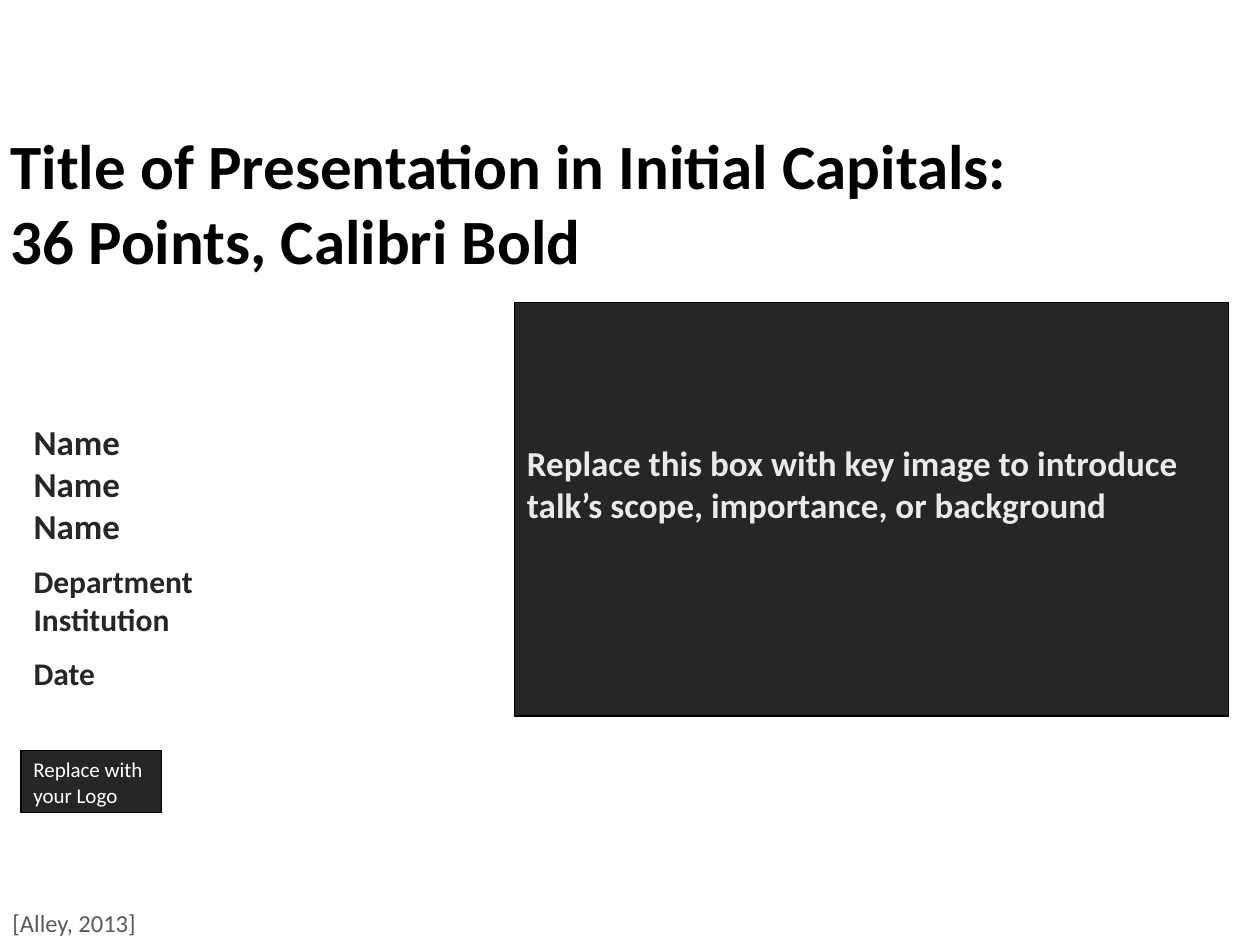
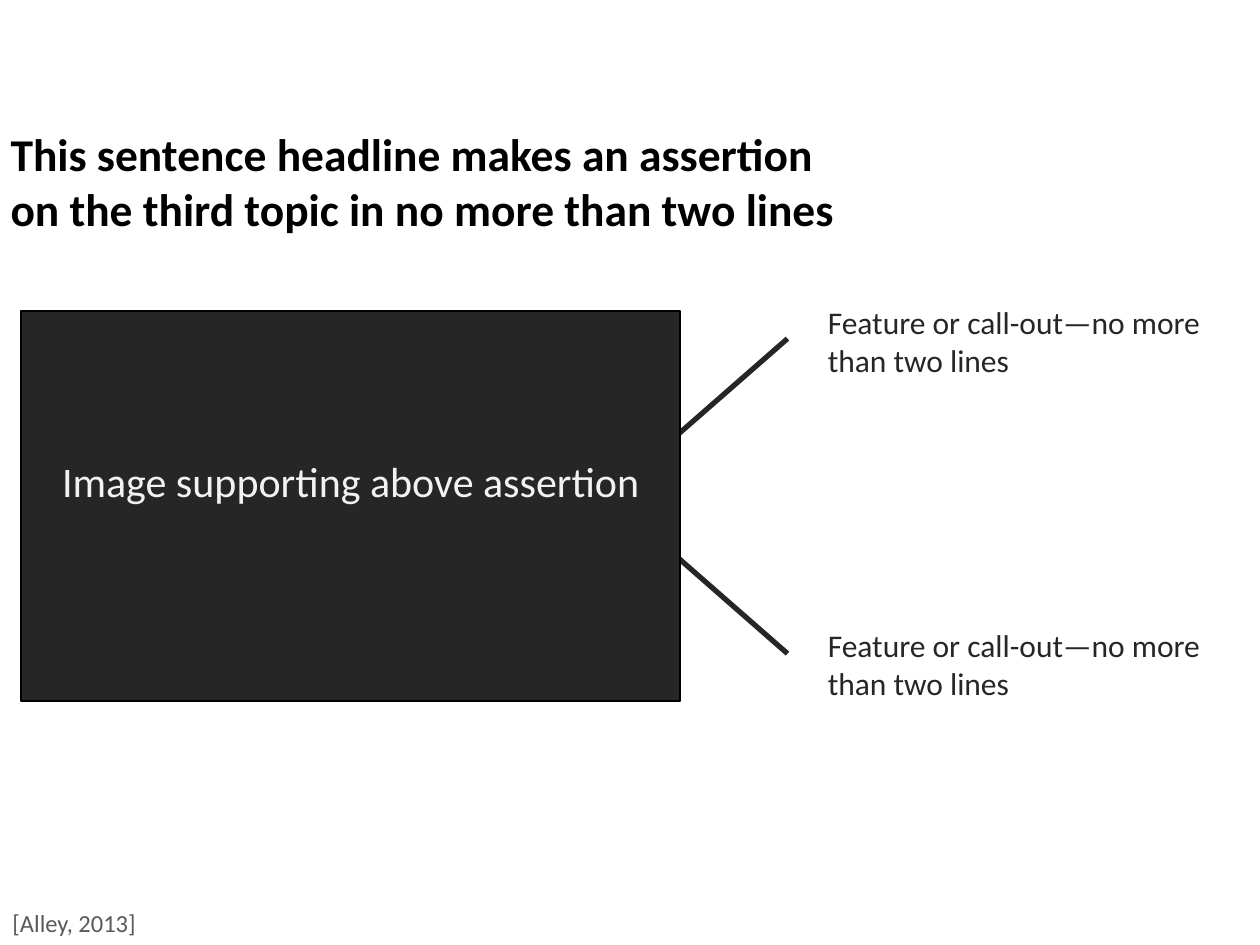
from pptx import Presentation
from pptx.dml.color import RGBColor
from pptx.enum.shapes import MSO_CONNECTOR as Link, MSO_SHAPE as Kind
from pptx.enum.text import MSO_ANCHOR as Anchor, MSO_AUTO_SIZE as Fit, PP_ALIGN as Align
from pptx.util import Inches, Pt
from lxml import etree

# Shared look: a grid of 120 columns by 90 rows, colours and text styles
WIDE, HIGH = Inches(10), Inches(7.5)
COL, ROW = WIDE / 120, HIGH / 90
FACE = "Calibri"
BLACK, DARK, GREY = "000000", "262626", "595959"
PALE, LIGHT, WHITE = "EAEAEA", "F2F2F2", "FFFFFF"
DRAW = "http://schemas.openxmlformats.org/drawingml/2006/main"

COVER = {"size": Pt(36), "bold": True}
HEAD = {"size": Pt(26), "bold": True}
NAME = {"size": Pt(20), "bold": True}
PLACE = {"size": Pt(18), "bold": True}
NOTE = {"size": Pt(18), "bold": False}
LARGE = {"size": Pt(24), "bold": False}
SMALL = {"size": Pt(12), "bold": False}
FOOT = {"size": Pt(14), "bold": False}


def color(code):
    return RGBColor.from_string(code)


def scale(box):
    """Turn columns and rows into slide lengths."""
    left, top, *size = box
    units = (COL, ROW, COL, ROW)
    return [round(part * unit) for part, unit in zip((left, top, *size), units)]


def move(shape, box):
    for name, value in zip(("left", "top", "width", "height"), scale(box)):
        setattr(shape, name, value)


def setup(frame, pads=(0.1, 0.05, 0.1, 0.05), anchor=Anchor.TOP, wrap=True):
    names = ("margin_left", "margin_top", "margin_right", "margin_bottom")
    form = dict(zip(names, map(Inches, pads)))
    form.update(word_wrap=wrap, vertical_anchor=anchor, auto_size=Fit.NONE)
    for name, value in form.items():
        setattr(frame, name, value)


def write(frame, lines, code, align=Align.LEFT):
    """Each line is its text, its style and the points of space before it."""
    for i, (text, style, gap) in enumerate(lines):
        para = frame.paragraphs[0] if i == 0 else frame.add_paragraph()
        para.alignment, para.space_before = align, Pt(gap)
        run = para.add_run()
        run.text = text
        for name, value in {"name": FACE, **style}.items():
            setattr(run.font, name, value)
        run.font.color.rgb = color(code)


def label(slide, box, text, style, code, **form):
    frame = slide.shapes.add_textbox(*scale(box)).text_frame
    setup(frame, **form)
    write(frame, [(text, style, 0)], code)


def panel(slide, box, lines, code, edge=0.75, align=Align.LEFT, **form):
    """Dark box that stands in for an image."""
    shape = slide.shapes.add_shape(Kind.RECTANGLE, *scale(box))
    shape.shadow.inherit = False
    shape.fill.solid()
    shape.fill.fore_color.rgb = color(DARK)
    shape.line.color.rgb = color(BLACK)
    shape.line.width = Pt(edge)
    setup(shape.text_frame, **form)
    write(shape.text_frame, lines, code, align)


def link(slide, start, end):
    line = slide.shapes.add_connector(Link.STRAIGHT, *scale(start), *scale(end))
    line.line.color.rgb = color(DARK)
    line.line.width = Pt(3)
    props = line.element.find("{*}spPr")
    etree.SubElement(props, f"{{{DRAW}}}effectLst")


def title(slide, box, lines, style):
    shape = slide.shapes.title
    move(shape, box)
    setup(shape.text_frame, pads=(0, 0, 0, 0))
    write(shape.text_frame, [(text, style, 0) for text in lines], BLACK)


def footer(slide):
    label(slide, (0, 85.9, 14.3, 4.1), "[Alley, 2013]", FOOT, GREY, wrap=False)


# Text sits slightly above the middle of a large panel
RAISED = {"anchor": Anchor.MIDDLE, "pads": (0.1, 0.05, 0.1, 0.45)}


def authors(slide, box):
    shape = slide.placeholders[1]
    move(shape, box)
    setup(shape.text_frame, pads=(0.1, 0.03, 0.1, 0.03))
    lines = [("Name", NAME, 0)] * 3
    lines += [("Department", PLACE, 9), ("Institution", PLACE, 0), ("Date", PLACE, 9)]
    write(shape.text_frame, lines, DARK)


def callouts(slide, box):
    """Two mirrored lines, each leading to a text at the right."""
    left, top, wide, high = box
    mid, tall = top + high / 2, 6.5
    for side, row in ((-1, top - 3.75), (1, top + high - 3)):
        link(slide, (left, mid + side * 4.5), (left + 12, mid + side * high / 2))
        label(slide, (left + 15, row, wide - 15, tall),
              "Feature or call-out—no more than two lines",
              NOTE, DARK, pads=(0.07, 0.03, 0.07, 0.03))


def cover(deck):
    slide = deck.slides.add_slide(deck.slide_layouts[0])
    footer(slide)
    title(slide, (1, 12, 98.4, 14.5),
          ["Title of Presentation in Initial Capitals:", "36 Points, Calibri Bold"], COVER)
    authors(slide, (2, 39.7, 44, 20.5))
    text = "Replace this box with key image to introduce talk’s scope, importance, or background"
    panel(slide, (49, 28.8, 68, 39.4), [(text, NAME, 0)], PALE, **RAISED)
    panel(slide, (2, 71.5, 13.4, 5.9),
          [("Replace with", SMALL, 0), ("your Logo", SMALL, 0)], WHITE)


def topic(deck):
    slide = deck.slides.add_slide(deck.slide_layouts[5])
    footer(slide)
    title(slide, (1, 12, 118, 10.6),
          ["This sentence headline makes an assertion",
           "on the third topic in no more than two lines"], HEAD)
    callouts(slide, (63, 32.25, 55, 30))
    panel(slide, (2, 29.6, 62.8, 37.2), [("Image supporting above assertion", LARGE, 0)],
          LIGHT, edge=1, align=Align.CENTER, **RAISED)


def main():
    deck = Presentation()
    deck.slide_width, deck.slide_height = WIDE, HIGH
    cover(deck)
    topic(deck)
    deck.save("out.pptx")


if __name__ == "__main__":
    main()
